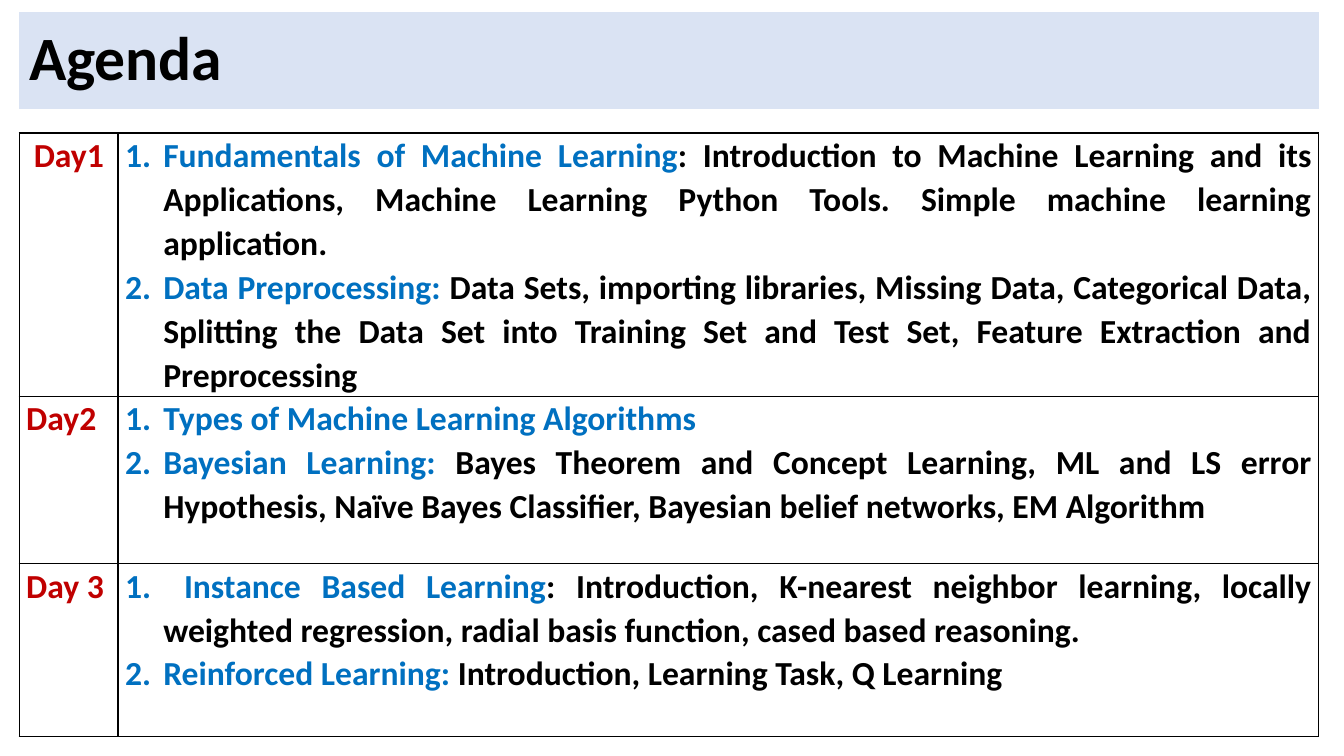
from lxml.etree import SubElement
from pptx import Presentation
from pptx.dml.color import RGBColor
from pptx.enum.shapes import MSO_SHAPE
from pptx.enum.text import MSO_ANCHOR, PP_ALIGN
from pptx.oxml import parse_xml
from pptx.oxml.ns import nsdecls, qn
from pptx.util import Inches, Pt

BLACK, RED, BLUE, PALE_BLUE = "000000", "C00000", "0070C0", "DAE3F3"
LEFT, WIDTH = Inches(0.19), Inches(12.89)

AGENDA = [
    (" Day1", 2.6, [
        ("Fundamentals of Machine Learning",
         ": Introduction to Machine Learning and its Applications, Machine Learning "
         "Python Tools. Simple machine learning application. "),
        ("Data Preprocessing:",
         " Data Sets, importing libraries, Missing Data, Categorical Data, Splitting the "
         "Data Set into Training Set and Test Set, Feature Extraction and Preprocessing"),
    ]),
    ("Day2 ", 1.66, [
        ("Types of Machine Learning Algorithms ", ""),
        ("Bayesian Learning: ",
         "Bayes Theorem and Concept Learning, ML and LS error Hypothesis, "
         "Naïve Bayes Classifier, Bayesian belief networks, EM Algorithm "),
    ]),
    ("Day 3", 1.72, [
        (" Instance Based Learning",
         ": Introduction, K-nearest neighbor learning, locally weighted regression, "
         "radial basis function, cased based reasoning."),
        ("Reinforced Learning: ", "Introduction, Learning Task, Q Learning "),
    ]),
]


def rgb(code):
    return RGBColor.from_string(code)


def add_bold(paragraph, text, size, color):
    run = paragraph.add_run()
    run.text = text
    run.font.name = "Calibri"
    run.font.size = Pt(size)
    run.font.bold = True
    run.font.color.rgb = rgb(color)


prs = Presentation()
prs.slide_width, prs.slide_height = Inches(13.33), Inches(7.5)
slide = prs.slides.add_slide(prs.slide_layouts[6])

# Title band
title = slide.shapes.add_shape(MSO_SHAPE.RECTANGLE, LEFT, Inches(0.12), WIDTH, Inches(0.96))
title.shadow.inherit = False
title.fill.solid()
title.fill.fore_color.rgb = rgb(PALE_BLUE)
title.line.fill.background()
title.text_frame.vertical_anchor = MSO_ANCHOR.MIDDLE
heading = title.text_frame.paragraphs[0]
heading.alignment = PP_ALIGN.LEFT
heading.line_spacing = 0.9
add_bold(heading, "Agenda", 44, BLACK)

# Agenda table
total_height = sum(height for _, height, _ in AGENDA)
agenda = slide.shapes.add_table(
    len(AGENDA), 2, LEFT, Inches(1.32), WIDTH, Inches(total_height)).table
agenda.first_row = agenda.horz_banding = False
agenda.columns[0].width = Inches(0.98)
agenda.columns[1].width = WIDTH - Inches(0.98)

for row, (day, height, topics) in zip(agenda.rows, AGENDA):
    row.height = Inches(height)
    day_cell, topics_cell = row.cells

    # Cell margins, fill and borders
    for cell in row.cells:
        cell.margin_left = cell.margin_right = Inches(0.07)
        cell.margin_top = cell.margin_bottom = 0
        cell.fill.background()
        for position, side in enumerate(("lnL", "lnR", "lnT", "lnB")):
            cell._tc.get_or_add_tcPr().insert(position, parse_xml(
                f'<a:{side} {nsdecls("a")} w="{Pt(1)}"><a:solidFill>'
                f'<a:srgbClr val="{BLACK}"/></a:solidFill></a:{side}>'))

    # Day label
    label = day_cell.text_frame.paragraphs[0]
    label.alignment = PP_ALIGN.JUSTIFY
    label.line_spacing = 1.07
    label.space_after = Pt(8)
    add_bold(label, day, 24, RED)

    # Numbered topics
    for index, (topic, details) in enumerate(topics):
        frame = topics_cell.text_frame
        item = frame.add_paragraph() if index else frame.paragraphs[0]
        item.alignment = PP_ALIGN.JUSTIFY
        item.line_spacing = 1.07
        numbering = item._p.get_or_add_pPr()
        numbering.set("marL", str(Inches(0.38)))
        numbering.set("indent", str(-Inches(0.38)))
        SubElement(numbering, qn("a:buFont"), typeface="+mj-lt")
        SubElement(numbering, qn("a:buAutoNum"), type="arabicPeriod")
        add_bold(item, topic, 24, BLUE)
        if details:
            add_bold(item, details, 24, BLACK)

prs.save("out.pptx")
